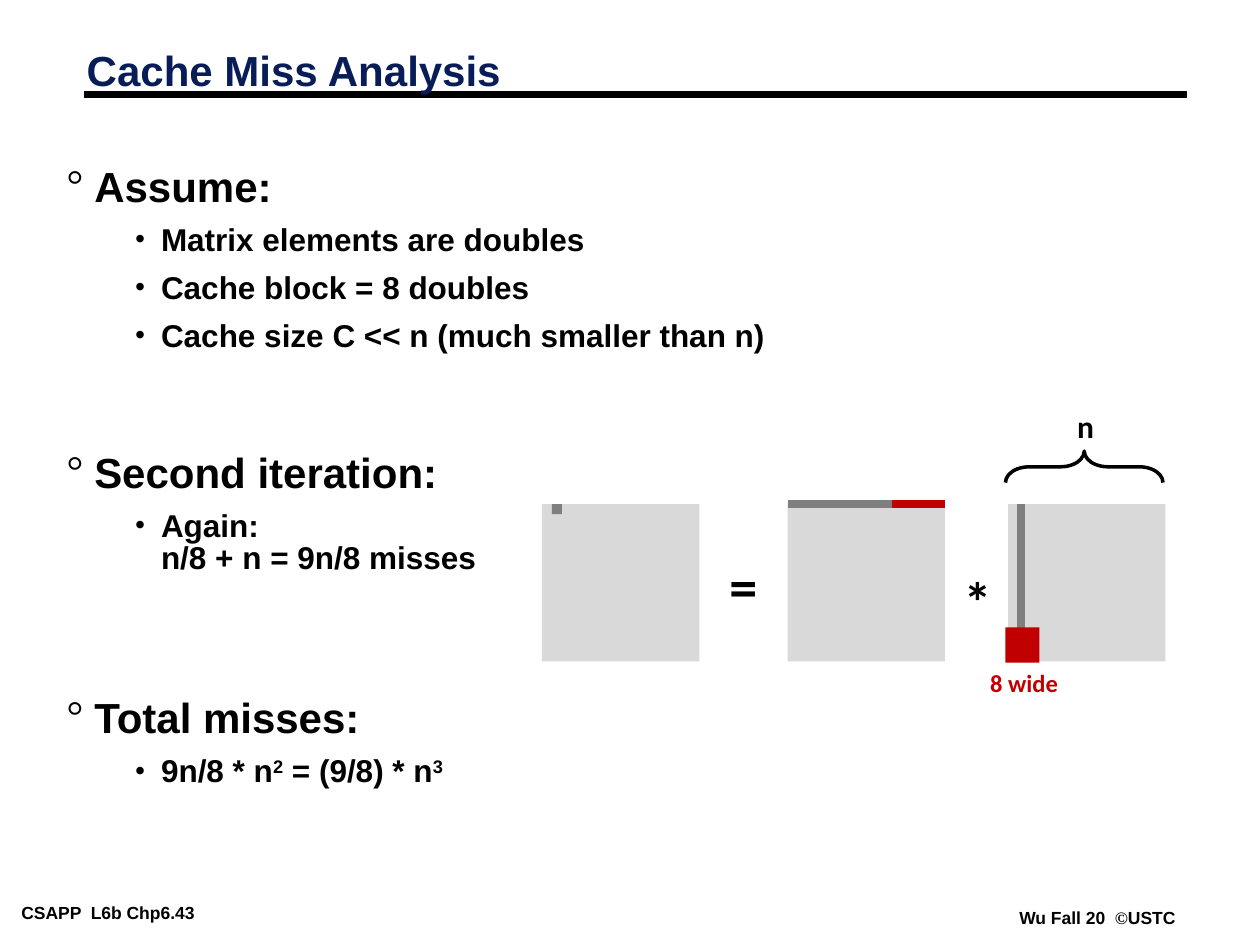
from dataclasses import dataclass

from lxml import etree
from pptx import Presentation
from pptx.dml.color import RGBColor
from pptx.enum.shapes import MSO_CONNECTOR, MSO_SHAPE
from pptx.enum.text import MSO_ANCHOR
from pptx.oxml.ns import qn
from pptx.util import Inches, Pt

RECT = MSO_SHAPE.RECTANGLE
BRACE = MSO_SHAPE.LEFT_BRACE
STRAIGHT = MSO_CONNECTOR.STRAIGHT
MIDDLE = MSO_ANCHOR.MIDDLE


@dataclass(frozen=True)
class Theme:
    ink: str = "000000"
    navy: str = "081D58"
    pale: str = "D9D9D9"
    grey: str = "7F7F7F"
    red: str = "C00000"
    sans: str = "Arial"
    serif: str = "Times New Roman"
    label: str = "Calibri"
    head: int = 24
    body: int = 18
    sign: int = 32
    note: int = 14
    foot: int = 10
    thick: float = 4.5
    thin: float = 2


T = Theme()


@dataclass(frozen=True)
class Level:
    mark: str
    size: int
    left: float
    hang: float
    lead: float
    gap: float


LEVELS = (Level("°", T.head, 0.22, 0.22, 0.75, 19.5),
          Level("•", T.body, 0.75, 0.21, 0.85, 9))

# Level, text pieces (^ marks a superscript, \n a line break), extra space before
POINTS = (
    (0, ["Assume:"], 0),
    (1, ["Matrix elements are doubles"], 0),
    (1, ["Cache block = 8 doubles"], 0),
    (1, ["Cache size C << n (much smaller than n)"], 0),
    (0, ["Second iteration:"], 40.2),
    (1, ["Again:", "\n", "n/8 + n = 9n/8 misses"], 0),
    (0, ["Total misses:"], 53.2),
    (1, ["9n/8 * n", "^2", " = (9/8) * n", "^3"], 0),
)


def add_run(para, text, size, color=T.ink, face=T.sans):
    run = para.add_run()
    run.text = text
    font = run.font
    font.size, font.bold, font.name = Pt(size), True, face
    font.color.rgb = RGBColor.from_string(color)
    return run


def add_frame(slide, box, inset=(0.1, 0.05), wrap=True):
    frame = slide.shapes.add_textbox(*map(Inches, box)).text_frame
    frame.word_wrap = wrap
    frame.margin_left = frame.margin_right = Inches(inset[0])
    frame.margin_top = frame.margin_bottom = Inches(inset[1])
    return frame


def add_label(slide, box, text, size, color=T.ink):
    frame = add_frame(slide, box, wrap=False)
    add_run(frame.paragraphs[0], text, size, color, T.label)


def add_rect(slide, box, color):
    shape = slide.shapes.add_shape(RECT, *map(Inches, box))
    shape.shadow.inherit = False
    shape.fill.solid()
    shape.fill.fore_color.rgb = RGBColor.from_string(color)
    shape.line.fill.background()


def add_line(slide, start, end, color):
    line = slide.shapes.add_connector(STRAIGHT, *map(Inches, start + end))
    line.line.color.rgb = RGBColor.from_string(color)
    line.line.width = Pt(T.thick)
    etree.SubElement(line._element.spPr, qn("a:effectLst"))


def add_brace(slide, box):
    """Draw a brace that opens downward and fills the box."""
    left, top, width, height = box
    turned = (left + (width - height) / 2, top + (height - width) / 2,
              height, width)
    brace = slide.shapes.add_shape(BRACE, *map(Inches, turned))
    brace.rotation = 90
    brace.adjustments[0] = 0.75
    brace.shadow.inherit = False
    brace.fill.background()
    brace.line.color.rgb = RGBColor.from_string(T.ink)
    brace.line.width = Pt(T.thin)


def add_bullet(para, level):
    props = para._p.get_or_add_pPr()
    props.set("marL", str(Inches(level.left)))
    props.set("indent", str(-Inches(level.hang)))
    color = etree.SubElement(props, qn("a:buClr"))
    etree.SubElement(color, qn("a:srgbClr"), val=T.ink)
    etree.SubElement(props, qn("a:buFont"), typeface=T.serif)
    etree.SubElement(props, qn("a:buChar"), char=level.mark)


def add_title(slide, box):
    frame = add_frame(slide, box)
    frame.vertical_anchor = MIDDLE
    para = frame.paragraphs[0]
    para.line_spacing = 0.87
    add_run(para, "Cache Miss Analysis", T.head, T.navy)


def add_points(slide, box):
    frame = add_frame(slide, box)
    for i, (depth, parts, extra) in enumerate(POINTS):
        para = frame.add_paragraph() if i else frame.paragraphs[0]
        level = LEVELS[depth]
        add_bullet(para, level)
        para.level = depth
        para.line_spacing = level.lead
        para.space_before = Pt(level.gap + extra if i else 0)
        for part in parts:
            if part == "\n":
                para.add_line_break()
                continue
            run = add_run(para, part.lstrip("^"), level.size)
            if part.startswith("^"):
                run.font._element.set("baseline", "30000")


def add_product(slide, box):
    """Draw result = row * column, with the cached parts in red."""
    left, top, width, side = box
    row, col = left + 1.95, left + width - side
    add_brace(slide, (col - 0.02, top - 0.42, side, 0.25))
    add_label(slide, (col + 0.45, top - 0.82, 0.33, 0.4), "n", T.body)
    for x in (left, row, col):
        add_rect(slide, (x, top, side, side), T.pale)
    add_line(slide, (row, top), (row + side, top), T.grey)
    add_line(slide, (col + 0.1, top), (col + 0.1, top + side), T.grey)
    add_label(slide, (row + 1.3, top + 0.45, 0.42, 0.64), "*", T.sign)
    add_label(slide, (left + 1.39, top + 0.33, 0.42, 0.64), "=", T.sign)
    add_rect(slide, (left + 0.08, top, 0.08, 0.08), T.grey)
    add_line(slide, (row + 0.83, top), (row + side, top), T.red)
    add_rect(slide, (col - 0.02, top + 0.98, 0.27, 0.28), T.red)
    add_label(slide, (col - 0.24, top + side, 0.74, 0.34), "8 wide",
              T.note, T.red)


def add_footer(slide, box, parts):
    para = add_frame(slide, box, (0.07, 0.03), False).paragraphs[0]
    for text, face in parts:
        add_run(para, text, T.foot, face=face)


def main():
    deck = Presentation()
    deck.slide_width, deck.slide_height = Inches(10), Inches(7.5)
    slide = deck.slides.add_slide(deck.slide_layouts[6])
    add_footer(slide, (0.1, 7.13, 2.03, 0.22),
               [("CSAPP  L6b Chp6.43", T.sans)])
    add_footer(slide, (8.02, 7.17, 1.38, 0.22),
               [("Wu Fall 20  ", T.sans), ("©", T.serif), ("USTC", T.sans)])
    add_line(slide, (0.67, 0.75), (9.42, 0.75), T.ink)
    add_title(slide, (0.59, 0.36, 8.3, 0.45))
    add_points(slide, (0.43, 1.32, 8.64, 5.15))
    add_product(slide, (4.3, 4, 4.95, 1.25))
    deck.save("out.pptx")


if __name__ == "__main__":
    main()
